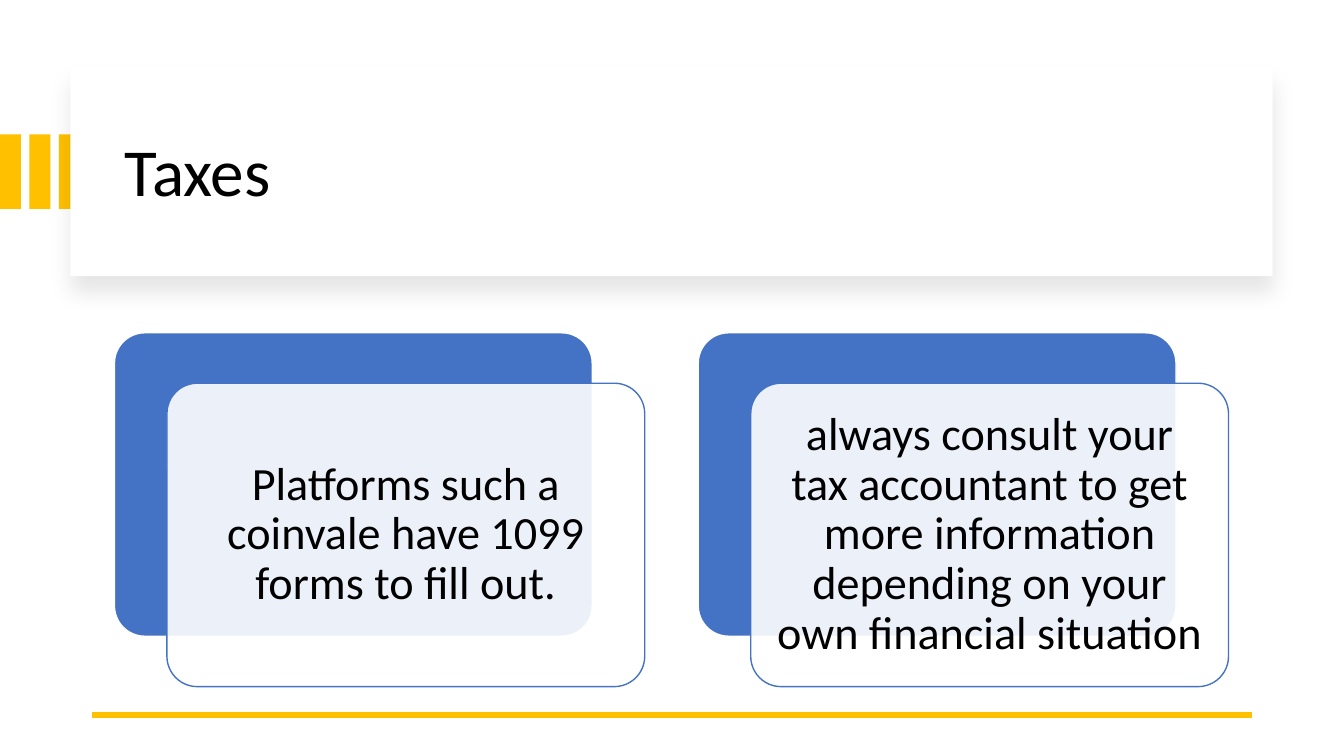
"""Build the Taxes slide with a title panel and two layered cards."""
from dataclasses import dataclass

from lxml import etree
from pptx import Presentation
from pptx.dml.color import RGBColor
from pptx.enum.shapes import MSO_CONNECTOR, MSO_SHAPE
from pptx.enum.text import MSO_ANCHOR, MSO_AUTO_SIZE, PP_ALIGN
from pptx.oxml.ns import qn
from pptx.util import Emu, Pt

RECT = MSO_SHAPE.RECTANGLE
ROUNDED = MSO_SHAPE.ROUNDED_RECTANGLE
STRAIGHT = MSO_CONNECTOR.STRAIGHT
MIDDLE = MSO_ANCHOR.MIDDLE
NO_AUTOFIT = MSO_AUTO_SIZE.NONE
LEFT, CENTER = PP_ALIGN.LEFT, PP_ALIGN.CENTER

EMU_PER_PX = 9525
TITLE_ONLY = 5

STRIPE_COUNT, STRIPE_PITCH = 3, 28
CARD_LEFT, CARD_TOP, CARD_PITCH = 109, 317, 556
CARD_WIDTH, CARD_HEIGHT = 455, 289
FRONT_DX, FRONT_DY = 50, 48
TEXT_MARGIN, TEXT_INSET = 9, 13
CARD_TEXTS = (
    "Platforms such a coinvale have 1099 forms to fill out.",
    "always consult your tax accountant to get more information "
    "depending on your own financial situation",
)


@dataclass(frozen=True)
class Theme:
    """Colours, font and sizes of the slide."""

    white: str = "FFFFFF"
    black: str = "000000"
    gold: str = "FFC000"
    blue: str = "4472C4"
    font: str = "Calibri"
    title_size: int = 48
    card_size: int = 33


THEME = Theme()


def px(length):
    """Turn pixels into EMU."""
    return Emu(length * EMU_PER_PX)


def rgb(colour):
    """Turn a hex string into a colour."""
    return RGBColor.from_string(colour)


def add_block(shapes, preset, box, fill, outline=None, opacity=None):
    """Add a filled shape with an optional outline and opacity in percent."""
    block = shapes.add_shape(preset, *map(px, box))
    block.shadow.inherit = False
    block.fill.solid()
    block.fill.fore_color.rgb = rgb(fill)
    if preset == ROUNDED:
        block.adjustments[0] = 0.1
    if outline:
        block.line.color.rgb = rgb(outline)
        block.line.width = Pt(1)
    else:
        block.line.fill.background()
    if opacity is not None:
        colour = block._element.spPr.find(qn("a:solidFill"))[0]
        etree.SubElement(colour, qn("a:alpha"), val=str(opacity * 1000))
    return block


def add_shadow(block, colour, blur, distance, opacity):
    """Cast a soft shadow straight down, with lengths in points."""
    effects = block._element.spPr.find(qn("a:effectLst"))
    shadow = etree.SubElement(
        effects, qn("a:outerShdw"), blurRad=str(Pt(blur)),
        dist=str(Pt(distance)), dir="5400000", algn="t", rotWithShape="0")
    tint = etree.SubElement(shadow, qn("a:srgbClr"), val=colour)
    etree.SubElement(tint, qn("a:alpha"), val=str(opacity * 1000))


def write_text(holder, text, size, align, inset=None):
    """Write one vertically centred paragraph into a shape."""
    frame = holder.text_frame
    frame.word_wrap = True
    frame.auto_size = NO_AUTOFIT
    frame.vertical_anchor = MIDDLE
    if inset is not None:
        frame.margin_left = frame.margin_right = px(inset)
        frame.margin_top = frame.margin_bottom = px(inset)
    paragraph = frame.paragraphs[0]
    paragraph.alignment = align
    paragraph.line_spacing = 0.9
    run = paragraph.add_run()
    run.text = text
    run.font.name = THEME.font
    run.font.size = Pt(size)
    run.font.color.rgb = rgb(THEME.black)


def add_stripes(slide):
    """Add the gold stripes at the left edge."""
    stripes = slide.shapes.add_group_shape().shapes
    for index in range(STRIPE_COUNT):
        add_block(stripes, RECT, (index * STRIPE_PITCH, 128, 20, 71), THEME.gold)


def add_title(slide, text):
    """Add the shadowed panel and set the title on top of it."""
    panel = add_block(slide.shapes, RECT, (67, 64, 1145, 199), THEME.white)
    add_shadow(panel, THEME.black, blur=15, distance=11, opacity=10)
    title = slide.shapes.title
    title.left, title.top, title.width, title.height = map(px, (109, 85, 1068, 163))
    write_text(title, text, THEME.title_size, LEFT)
    panel._element.addnext(title._element)


def add_rule(slide):
    """Add the gold rule at the foot of the slide."""
    rule = slide.shapes.add_connector(STRAIGHT, *map(px, (1192, 681, 88, 681)))
    rule.line.color.rgb = rgb(THEME.gold)
    rule.line.width = Pt(4.5)
    etree.SubElement(rule._element.spPr, qn("a:effectLst"))


def add_card(shapes, left, text):
    """Add a blue card with a translucent text card in front."""
    front_left, front_top = left + FRONT_DX, CARD_TOP + FRONT_DY
    add_block(shapes, ROUNDED, (left, CARD_TOP, CARD_WIDTH, CARD_HEIGHT),
              THEME.blue, outline=THEME.white)
    add_block(shapes, ROUNDED, (front_left, front_top, CARD_WIDTH, CARD_HEIGHT),
              THEME.white, outline=THEME.blue, opacity=90)
    message = shapes.add_textbox(
        px(front_left + TEXT_MARGIN), px(front_top + TEXT_MARGIN),
        px(CARD_WIDTH - 2 * TEXT_MARGIN), px(CARD_HEIGHT - 2 * TEXT_MARGIN))
    write_text(message, text, THEME.card_size, CENTER, inset=TEXT_INSET)


def main():
    """Build and save the slide."""
    deck = Presentation()
    deck.slide_width, deck.slide_height = px(1280), px(720)
    slide = deck.slides.add_slide(deck.slide_layouts[TITLE_ONLY])
    add_stripes(slide)
    add_title(slide, "Taxes")
    add_rule(slide)
    cards = slide.shapes.add_group_shape().shapes
    for index, text in enumerate(CARD_TEXTS):
        add_card(cards, CARD_LEFT + index * CARD_PITCH, text)
    deck.save("out.pptx")


if __name__ == "__main__":
    main()
